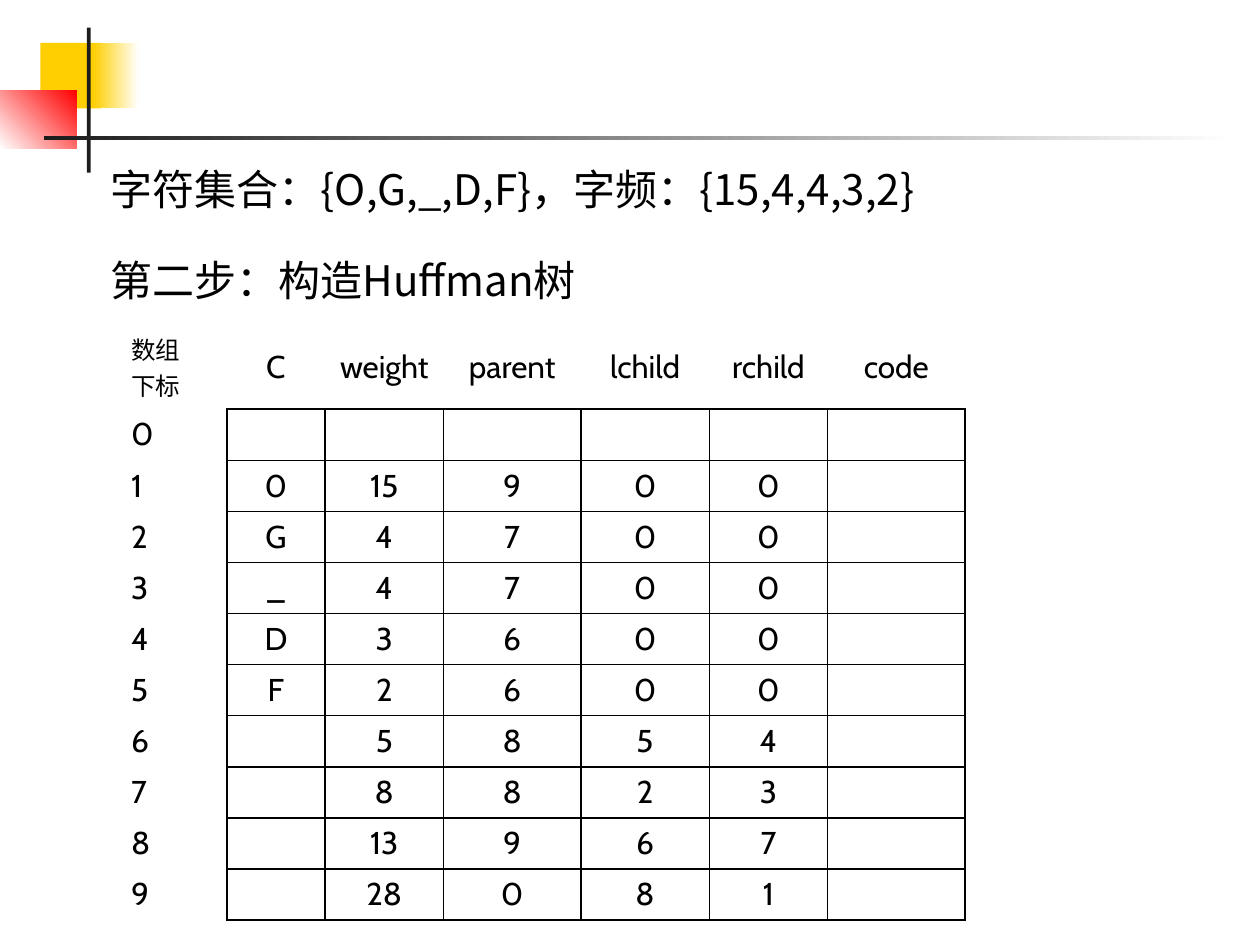
from lxml import etree
from pptx import Presentation
from pptx import util as u
from pptx.dml.color import RGBColor
from pptx.enum import shapes, text
from pptx.oxml.ns import qn

COLORS = {"ink": "000000", "bar": "1C1C1C", "yellow": "FFCF01",
          "red": "FF0000", "white": "FFFFFF"}
CJK, LATIN = "Noto Sans CJK SC", "Cabin"
NO_STYLE = "{2D5ABB26-0587-4C30-8999-92F81FD0307C}"

COL_WIDTHS = [0.86, 0.78, 0.94, 1.09, 1.02, 0.94, 1.09]
HEADER_HEIGHT, BODY_HEIGHT = 0.57, 4.05
HEADER = ["数组\n下标", "C", "weight", "parent", "lchild", "rchild", "code"]
NODES = [
    ["", "", "", "", ""],
    ["0", "15", "9", "0", "0"],
    ["G", "4", "7", "0", "0"],
    ["_", "4", "7", "0", "0"],
    ["D", "3", "6", "0", "0"],
    ["F", "2", "6", "0", "0"],
    ["", "5", "8", "5", "4"],
    ["", "8", "8", "2", "3"],
    ["", "13", "9", "6", "7"],
    ["", "28", "0", "8", "1"],
]


def rgb(name):
    return RGBColor.from_string(COLORS[name])


class SlideBuilder:
    def __init__(self, slide):
        self.s = slide

    def style_text(self, p, size, font):
        for r in p.runs:
            r.font.size = u.Pt(size)
            r.font.name = font
            r.font.color.rgb = rgb("ink")
            ea = etree.SubElement(r._r.get_or_add_rPr(), qn("a:ea"))
            ea.set("typeface", CJK)

    def rect(self, x, y, w, h, color, end=None, angle=0):
        """Draw a plain rectangle, or one fading from color to end."""
        sp = self.s.shapes.add_shape(
            shapes.MSO_SHAPE.RECTANGLE, *map(u.Inches, (x, y, w, h)))
        sp.shadow.inherit = False
        sp.line.fill.background()
        if end is None:
            sp.fill.solid()
            sp.fill.fore_color.rgb = rgb(color)
            return
        sp.fill.gradient()
        sp.fill.gradient_angle = angle
        for stop, name in zip(sp.fill.gradient_stops, (color, end)):
            stop.color.rgb = rgb(name)

    def textbox(self, x, y, w, h, lines, size, gap):
        tf = self.s.shapes.add_textbox(*map(u.Inches, (x, y, w, h))).text_frame
        tf.word_wrap = True
        tf.text = "\n".join(lines)
        for i, p in enumerate(tf.paragraphs):
            p.space_before = u.Pt(gap if i else 0)
            self.style_text(p, size, CJK)

    def borders(self, cell, sides):
        tcPr = cell._tc.get_or_add_tcPr()
        for side in ("L", "R", "T", "B"):
            ln = etree.SubElement(tcPr, qn("a:ln" + side))
            if side in sides:
                ln.set("w", str(u.Pt(1)))
                fill = etree.SubElement(ln, qn("a:solidFill"))
                etree.SubElement(fill, qn("a:srgbClr")).set("val", COLORS["ink"])
            else:
                ln.set("w", "0")
                etree.SubElement(ln, qn("a:noFill"))

    def table(self, x, y, rows):
        """Draw rows with a grid that leaves out the header and index column."""
        frame = self.s.shapes.add_table(
            len(rows), len(COL_WIDTHS), u.Inches(x), u.Inches(y),
            u.Inches(sum(COL_WIDTHS)), u.Inches(HEADER_HEIGHT + BODY_HEIGHT))
        tbl = frame.table
        tbl.first_row = tbl.horz_banding = False
        tbl._tbl.tblPr.find(qn("a:tableStyleId")).text = NO_STYLE
        for col, width in zip(tbl.columns, COL_WIDTHS):
            col.width = u.Inches(width)
        for i, row in enumerate(rows):
            tbl.rows[i].height = u.Inches(
                BODY_HEIGHT / (len(rows) - 1) if i else HEADER_HEIGHT)
            for j, value in enumerate(row):
                cell = tbl.cell(i, j)
                cell.text = value
                if i == 0:
                    cell.vertical_anchor = text.MSO_ANCHOR.MIDDLE
                    sides = "B" if j else ""
                else:
                    sides = "LRTB" if j else "R"
                self.borders(cell, sides)
                cell.fill.background()
                corner = i == j == 0
                for p in cell.text_frame.paragraphs:
                    if j:
                        p.alignment = text.PP_ALIGN.CENTER
                    self.style_text(p, 14 if corner else 18,
                                    CJK if corner else LATIN)


def main():
    prs = Presentation()
    prs.slide_width, prs.slide_height = u.Inches(10), u.Inches(7.5)
    b = SlideBuilder(prs.slides.add_slide(prs.slide_layouts[6]))

    b.rect(0.32, 0.34, 0.48, 0.52, "yellow")
    b.rect(0.74, 0.34, 0.36, 0.52, "yellow", "white")
    b.rect(0, 0.72, 0.61, 0.46, "white", "red", angle=45)
    b.rect(0.69, 0.22, 0.03, 1.15, "bar")
    b.rect(0.35, 1.08, 9.45, 0.03, "bar", "white")

    body = [[str(i), *node, ""] for i, node in enumerate(NODES)]
    b.table(0.94, 2.58, [HEADER] + body)
    b.textbox(0.78, 1.25, 7.42, 1.31,
              ["字符集合：{O,G,_,D,F}，字频：{15,4,4,3,2}",
               "第二步：构造Huffman树"], size=24, gap=23)
    prs.save("out.pptx")


if __name__ == "__main__":
    main()
